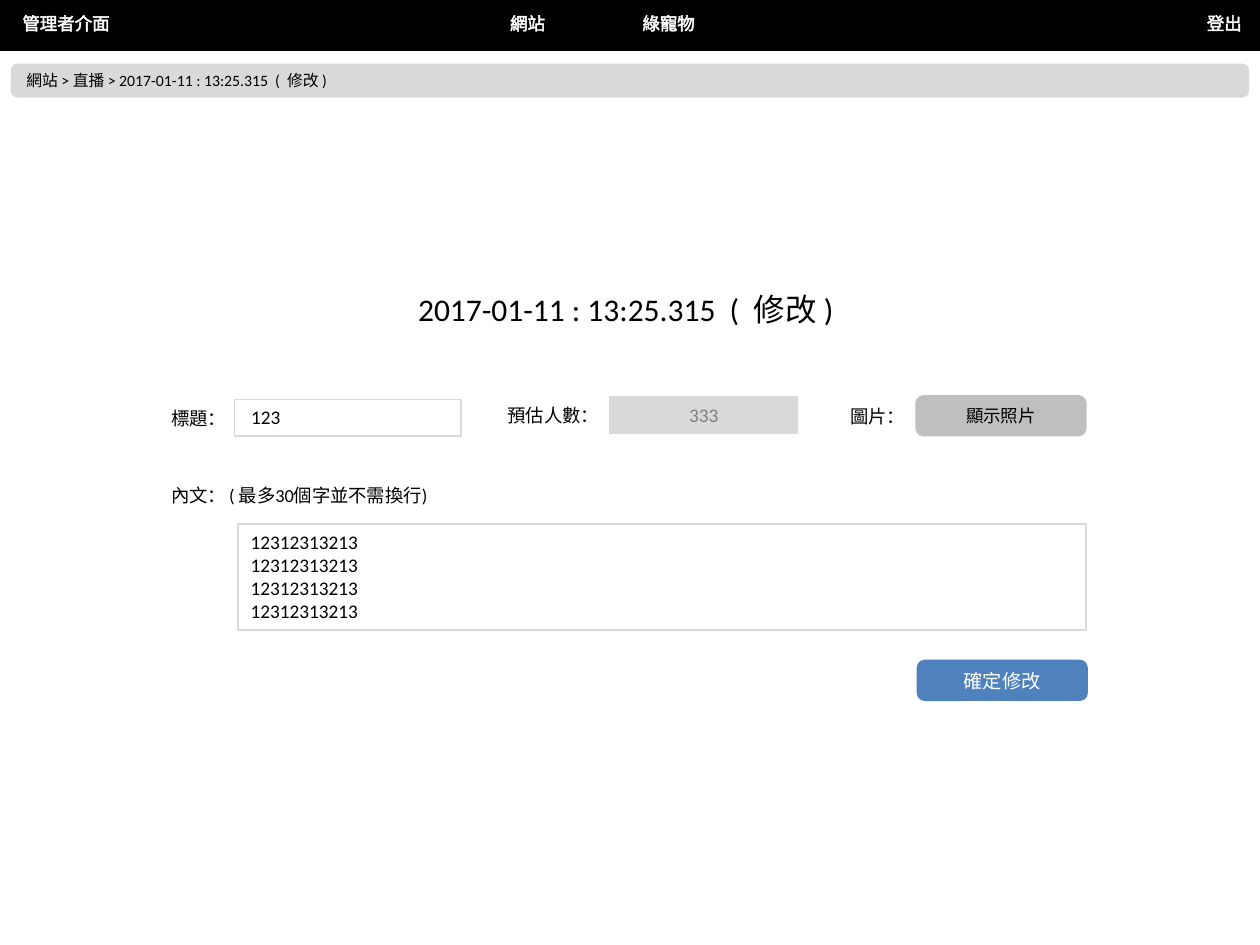
from lxml.etree import SubElement
from pptx import Presentation
from pptx.dml.color import RGBColor
from pptx.enum.shapes import MSO_SHAPE as Shape
from pptx.enum.text import MSO_ANCHOR as Anchor, MSO_AUTO_SIZE as AutoSize, PP_ALIGN as Align
from pptx.oxml.ns import qn
from pptx.util import Inches, Pt

COLORS = {"black": "000000", "white": "FFFFFF", "light": "D9D9D9",
          "gray": "BFBFBF", "dim": "808080", "blue": "4F81BD"}
FONT = "Calibri"
WIDTH, HEIGHT = 10, 7.5

# Content
RECORD = "2017-01-11 : 13:25.315  (  修改 )"
BREADCRUMB = f"網站 > 直播 > {RECORD}"
BODY = "\n".join(["12312313213"] * 4)

# Grid: column edges and row tops, in inches
LABEL_X, FIELD_X, COUNT_X, PHOTO_X = 1.26, 1.86, 3.93, 6.65
BUTTON_X, BUTTON_W = 7.28, 1.33
FIELD_Y, NOTE_Y, BODY_Y, SUBMIT_Y = 3.16, 3.79, 4.16, 5.25
LABEL_H, FIELD_H, BUTTON_H = 0.28, 0.29, 0.3
MARGIN = WIDTH / 100

# text, left, width
NAVIGATION = [("管理者介面", 0.08, 0.9), ("登出", 9.48, 0.48),
              ("網站", 3.95, 0.48), ("綠寵物", 5, 0.62)]
# text, left, top, width
LABELS = [("標題：", LABEL_X, FIELD_Y + 0.02, 0.63),
          ("預估人數：", COUNT_X, FIELD_Y, 0.91),
          ("圖片：", PHOTO_X, FIELD_Y + 0.01, 0.63),
          ("內文：", LABEL_X, NOTE_Y, 0.63),
          ("( 最多30個字並不需換行)", 1.72, NOTE_Y, 3.61)]
# text, box, fill, text colour, alignment
FIELDS = [(" 123", (FIELD_X, FIELD_Y + 0.01, 1.8, FIELD_H), "white", "black", Align.LEFT),
          ("333", (4.84, FIELD_Y - 0.01, 1.49, FIELD_H), "light", "dim", Align.CENTER),
          (BODY, (1.89, BODY_Y, 6.73, 0.84), "white", "black", Align.LEFT)]
# text, box, fill, text colour, size, alignment
BARS = [(BREADCRUMB, (MARGIN, 0.52, WIDTH - 2 * MARGIN, 0.24), "light", "black", 9, Align.LEFT),
        ("顯示照片", (BUTTON_X, FIELD_Y - 0.01, BUTTON_W, BUTTON_H), "gray", "black", 10, Align.CENTER),
        ("確定修改", (BUTTON_X + 0.01, SUBMIT_Y, BUTTON_W, BUTTON_H), "blue", "white", 11, Align.CENTER)]


def rgb(name):
    return RGBColor.from_string(COLORS[name])


def write(shape, text, size, color, align=Align.LEFT, wrap=True, grow=True):
    frame = shape.text_frame
    frame.text = text
    frame.word_wrap = wrap
    frame.auto_size = AutoSize.SHAPE_TO_FIT_TEXT if grow else AutoSize.NONE
    frame.vertical_anchor = Anchor.TOP if grow else Anchor.MIDDLE
    for paragraph in frame.paragraphs:
        paragraph.alignment = align
        for run in paragraph.runs:
            run.font.name = FONT
            run.font.size = Pt(size)
            run.font.color.rgb = rgb(color)


def add_text(slide, text, box, size, color, wrap=True):
    shape = slide.shapes.add_textbox(*map(Inches, box))
    write(shape, text, size, color, wrap=wrap)
    return shape


def add_box(slide, kind, box, fill, line, line_width):
    shape = slide.shapes.add_shape(kind, *map(Inches, box))
    shape.shadow.inherit = False
    shape.fill.solid()
    shape.fill.fore_color.rgb = rgb(fill)
    shape.line.color.rgb = rgb(line)
    shape.line.width = Pt(line_width)
    return shape


def outline_text(shape, color):
    for run in shape.text_frame.paragraphs[0].runs:
        properties = run.font._element
        line = SubElement(properties, qn("a:ln"), w=str(Pt(0.75)))
        fill = SubElement(line, qn("a:solidFill"))
        SubElement(fill, qn("a:srgbClr"), val=COLORS[color])
        properties.insert(0, line)


def main():
    presentation = Presentation()
    presentation.slide_width, presentation.slide_height = Inches(WIDTH), Inches(HEIGHT)
    slide = presentation.slides.add_slide(presentation.slide_layouts[6])

    # Navigation bar
    add_box(slide, Shape.RECTANGLE, (0, 0, WIDTH, 0.39), "black", "black", 2)
    for text, left, width in NAVIGATION:
        item = add_text(slide, text, (left, 0.05, width, 0.27), 10, "white", wrap=False)
        outline_text(item, "white")

    # Breadcrumb and buttons
    for text, box, fill, color, size, align in BARS:
        bar = add_box(slide, Shape.ROUNDED_RECTANGLE, box, fill, fill, 2)
        write(bar, text, size, color, align, grow=False)

    # Title and form
    add_text(slide, RECORD, (3.22, 2.25, 3.54, 0.4), 18, "black")
    for text, left, top, width in LABELS:
        add_text(slide, text, (left, top, width, LABEL_H), 10.5, "black")
    for text, box, fill, color, align in FIELDS:
        field = add_box(slide, Shape.RECTANGLE, box, fill, "light", 0.75)
        write(field, text, 11, color, align)

    presentation.save("out.pptx")


if __name__ == "__main__":
    main()
